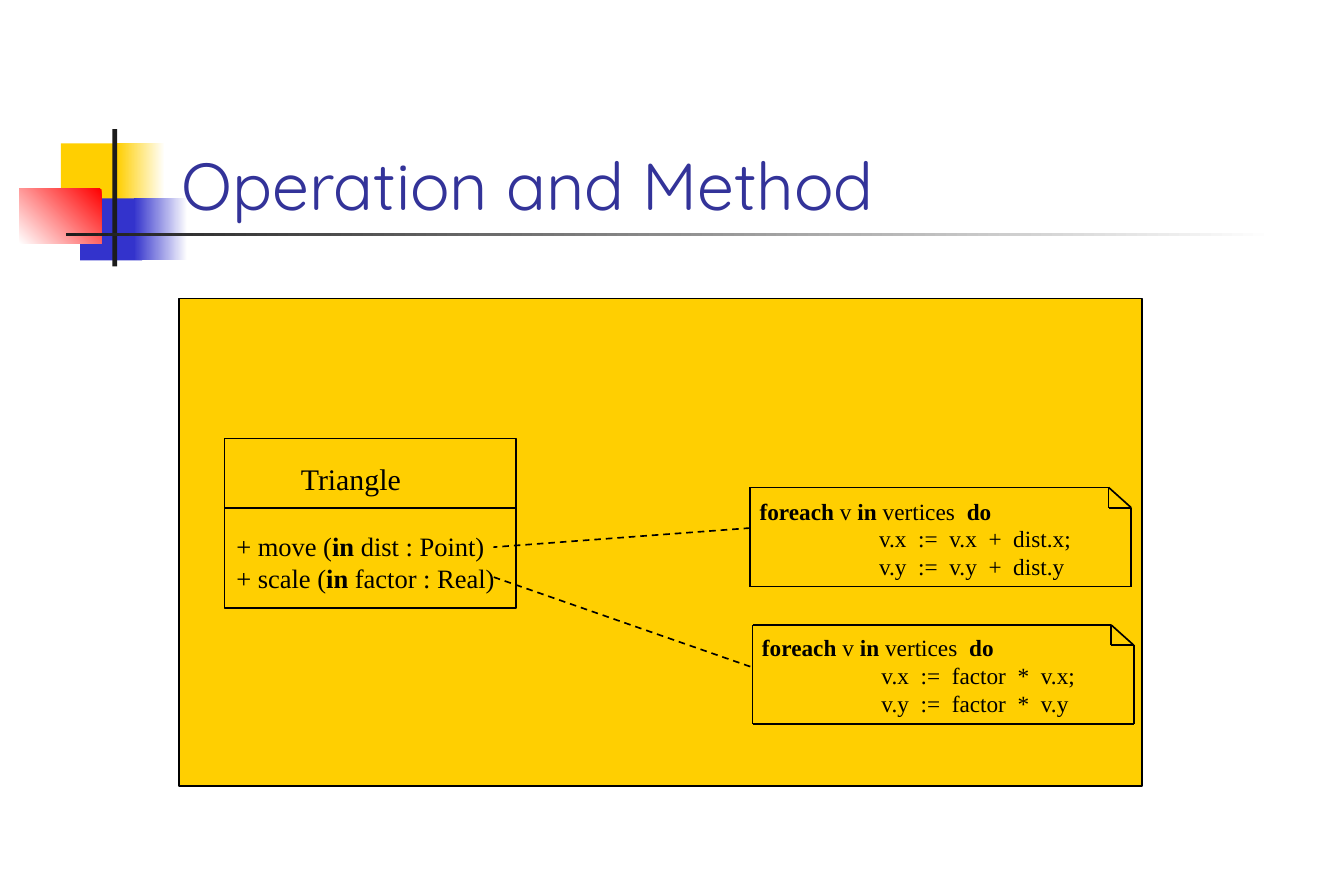
from dataclasses import dataclass

from lxml import etree
from pptx import Presentation
from pptx import util as u
from pptx.dml.color import RGBColor
from pptx.enum import dml, shapes, text
from pptx.oxml import ns


@dataclass(frozen=True)
class Theme:
    yellow: str = "FFCF01"
    blue: str = "3333CC"
    red: str = "FF0000"
    dark: str = "1C1C1C"
    white: str = "FFFFFF"
    ink: str = "000000"
    title: str = "333399"
    title_font: str = "Quicksand"
    body_font: str = "Times New Roman"
    title_size: int = 40
    name_size: int = 18
    operation_size: int = 16
    code_size: int = 14
    line_width: int = 1


def set_all(obj, formats):
    for name, value in formats.items():
        setattr(obj, name, value)


class Slide:
    def __init__(self, s, theme):
        self.s, self.theme = s, theme

    def rect(self, box, fill=None, outline=False, fade=None):
        """Draw a rectangle; fade is (first colour, last colour, clockwise angle)."""
        sp = self.s.shapes.add_shape(shapes.MSO_SHAPE.RECTANGLE, *map(u.Inches, box))
        sp.shadow.inherit = False
        if fade:
            *colours, angle = fade
            sp.fill.gradient()
            sp.fill.gradient_angle = 360 - angle
            for stop, colour in zip(sp.fill.gradient_stops, colours):
                stop.color.rgb = RGBColor.from_string(colour)
        elif fill:
            sp.fill.solid()
            sp.fill.fore_color.rgb = RGBColor.from_string(fill)
        else:
            sp.fill.background()
        if outline:
            self.stroke(sp.line)
        else:
            sp.line.fill.background()

    def stroke(self, line):
        line.color.rgb = RGBColor.from_string(self.theme.ink)
        line.width = u.Pt(self.theme.line_width)

    def line(self, start, end, dashed=False):
        cx = self.s.shapes.add_connector(
            shapes.MSO_CONNECTOR.STRAIGHT, *map(u.Inches, start + end))
        self.stroke(cx.line)
        if dashed:
            cx.line.dash_style = dml.MSO_LINE.DASH
        etree.SubElement(cx._element.spPr, ns.qn("a:effectLst"))

    def text(self, box, lines, size, font=None, colour=None, **frame):
        """Add a text box; in each line, text between asterisk pairs is bold."""
        tf = self.s.shapes.add_textbox(*map(u.Inches, box)).text_frame
        set_all(tf, {"word_wrap": False,
                     "auto_size": text.MSO_AUTO_SIZE.SHAPE_TO_FIT_TEXT, **frame})
        for i, line in enumerate(lines):
            p = tf.paragraphs[0] if i == 0 else tf.add_paragraph()
            if line.startswith("\t"):
                tabs = etree.SubElement(p._p.get_or_add_pPr(), ns.qn("a:tabLst"))
                etree.SubElement(tabs, ns.qn("a:tab"), pos=str(u.Inches(1)), algn="l")
            for j, part in enumerate(line.split("**")):
                if part:
                    r = p.add_run()
                    r.text = part
                    set_all(r.font, {"size": u.Pt(size), "bold": j % 2 == 1,
                                     "name": font or self.theme.body_font})
                    r.font.color.rgb = RGBColor.from_string(colour or self.theme.ink)

    def note(self, left, top, code_at, code):
        """Draw a note with a folded top right corner and its code."""
        right, bottom = left + 3.19, top + 0.83
        fold_x, fold_y = right - 0.19, top + 0.17
        self.text(code_at, code, self.theme.code_size)
        corners = [(left, top), (left, bottom), (right, bottom), (right, fold_y),
                   (fold_x, top)]
        for start, end in zip(corners, corners[1:] + corners[:1]):
            self.line(start, end)
        for end in corners[-2:]:
            self.line((fold_x, fold_y), end)


def main():
    t = Theme()
    prs = Presentation()
    set_all(prs, {"slide_width": u.Inches(11.25), "slide_height": u.Inches(7.5)})
    slide = Slide(prs.slides.add_slide(prs.slide_layouts[6]), t)

    # Title ornament
    slide.rect((0.51, 1.2, 0.54, 0.52), t.yellow)
    slide.rect((0.98, 1.2, 0.4, 0.52), fade=(t.white, t.yellow, 180))
    slide.rect((0.67, 1.66, 0.52, 0.52), t.blue)
    slide.rect((1.12, 1.66, 0.45, 0.52), fade=(t.white, t.blue, 180))
    slide.rect((0.16, 1.58, 0.69, 0.46), fade=(t.red, t.white, 135))
    slide.rect((0.94, 1.08, 0.04, 1.15), t.dark)
    slide.rect((0.55, 1.95, 10.12, 0.03), fade=(t.white, t.dark, 180))
    slide.text((1.42, 0.67, 9.59, 1.25), ["Operation and Method"], t.title_size,
               t.title_font, t.title, word_wrap=True,
               auto_size=text.MSO_AUTO_SIZE.NONE,
               vertical_anchor=text.MSO_ANCHOR.BOTTOM)

    # Class box
    slide.rect((1.5, 2.5, 8.06, 4.08), t.yellow, outline=True)
    slide.rect((1.88, 3.67, 2.44, 1.42), outline=True)
    slide.text((2.42, 3.81, 1.04, 0.4), ["Triangle"], t.name_size)
    slide.text((1.88, 4.39, 2.36, 0.64),
               ["+ move (**in** dist : Point)", "+ scale (**in** factor : Real)"],
               t.operation_size)
    slide.line((1.88, 4.25), (4.31, 4.25))

    # Method notes
    loop = "**foreach** v **in** vertices  **do**"
    slide.note(6.28, 4.08, (6.26, 4.11, 2.83, 0.8),
               [loop, "\tv.x  :=  v.x  +  dist.x;", "\tv.y  :=  v.y  +  dist.y"])
    slide.line((6.28, 4.42), (4.13, 4.58), dashed=True)
    slide.note(6.3, 5.23, (6.28, 5.25, 2.85, 0.8),
               [loop, "\tv.x  :=  factor  *  v.x;", "\tv.y  :=  factor  *  v.y"])
    slide.line((6.28, 5.58), (4.13, 4.83), dashed=True)

    prs.save("out.pptx")


if __name__ == "__main__":
    main()
